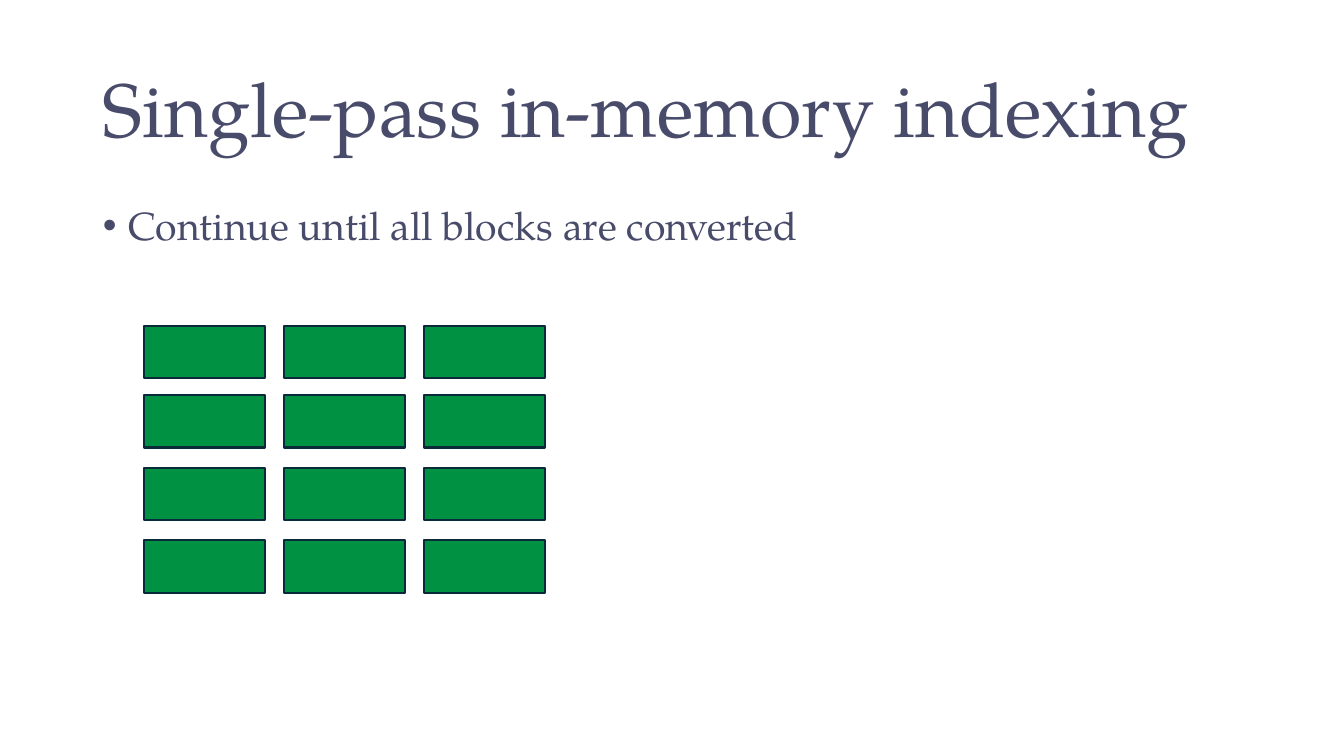
"""Build the slide on single-pass in-memory indexing."""
from dataclasses import dataclass

from lxml import etree
from pptx import Presentation
from pptx.dml.color import RGBColor
from pptx.enum import shapes, text
from pptx.oxml import ns
from pptx.util import Inches, Pt

HEADING = "Single-pass in-memory indexing"
POINTS = ["Continue until all blocks are converted"]
BLOCK_COLUMNS = 3
BLOCK_TOPS = (3.23, 3.92, 4.64, 5.36)
BLOCK_LEFT, BLOCK_PITCH = 1.43, 1.39
BLOCK_WIDTH, BLOCK_HEIGHT = 1.2, 0.52


@dataclass(frozen=True)
class Theme:
    font: str = "TeX Gyre Pagella"
    ink: RGBColor = RGBColor.from_string("484B6A")
    block: RGBColor = RGBColor.from_string("009242")
    edge: RGBColor = RGBColor.from_string("092A39")
    heading_size: Pt = Pt(54)
    point_size: Pt = Pt(28)
    edge_width: Pt = Pt(1.5)


THEME = Theme()


def place(holder, left, top, width, height, anchor):
    holder.left, holder.top = Inches(left), Inches(top)
    holder.width, holder.height = Inches(width), Inches(height)
    holder.text_frame.word_wrap = True
    holder.text_frame.auto_size = text.MSO_AUTO_SIZE.NONE
    holder.text_frame.vertical_anchor = anchor


def write(paragraph, words, size):
    paragraph.alignment = text.PP_ALIGN.LEFT
    paragraph.line_spacing = 0.9
    paragraph.space_before = Pt(0)
    run = paragraph.add_run()
    run.text = words
    run.font.name = THEME.font
    run.font.size = size
    run.font.color.rgb = THEME.ink


def add_bullet(paragraph):
    properties = paragraph._p.get_or_add_pPr()
    properties.set("marL", str(Inches(0.25)))
    properties.set("indent", str(Inches(-0.25)))
    etree.SubElement(properties, ns.qn("a:buFont")).set("typeface", "Arial")
    etree.SubElement(properties, ns.qn("a:buChar")).set("char", "•")


def add_block(slide, left, top):
    block = slide.shapes.add_shape(
        shapes.MSO_SHAPE.RECTANGLE, Inches(left), Inches(top),
        Inches(BLOCK_WIDTH), Inches(BLOCK_HEIGHT))
    block.shadow.inherit = False
    block.fill.solid()
    block.fill.fore_color.rgb = THEME.block
    block.line.color.rgb = THEME.edge
    block.line.width = THEME.edge_width


def main():
    deck = Presentation()
    deck.slide_width, deck.slide_height = Inches(13.33), Inches(7.5)
    slide = deck.slides.add_slide(deck.slide_layouts[1])

    heading, points = slide.shapes.title, slide.placeholders[1]
    place(heading, 0.92, 0.4, 11.5, 1.45, text.MSO_ANCHOR.MIDDLE)
    write(heading.text_frame.paragraphs[0], HEADING, THEME.heading_size)

    place(points, 0.92, 2, 11.5, 5.3, text.MSO_ANCHOR.TOP)
    for number, point in enumerate(POINTS):
        frame = points.text_frame
        paragraph = frame.add_paragraph() if number else frame.paragraphs[0]
        add_bullet(paragraph)
        write(paragraph, point, THEME.point_size)

    for column in range(BLOCK_COLUMNS):
        for top in BLOCK_TOPS:
            add_block(slide, BLOCK_LEFT + column * BLOCK_PITCH, top)

    deck.save("out.pptx")


if __name__ == "__main__":
    main()
